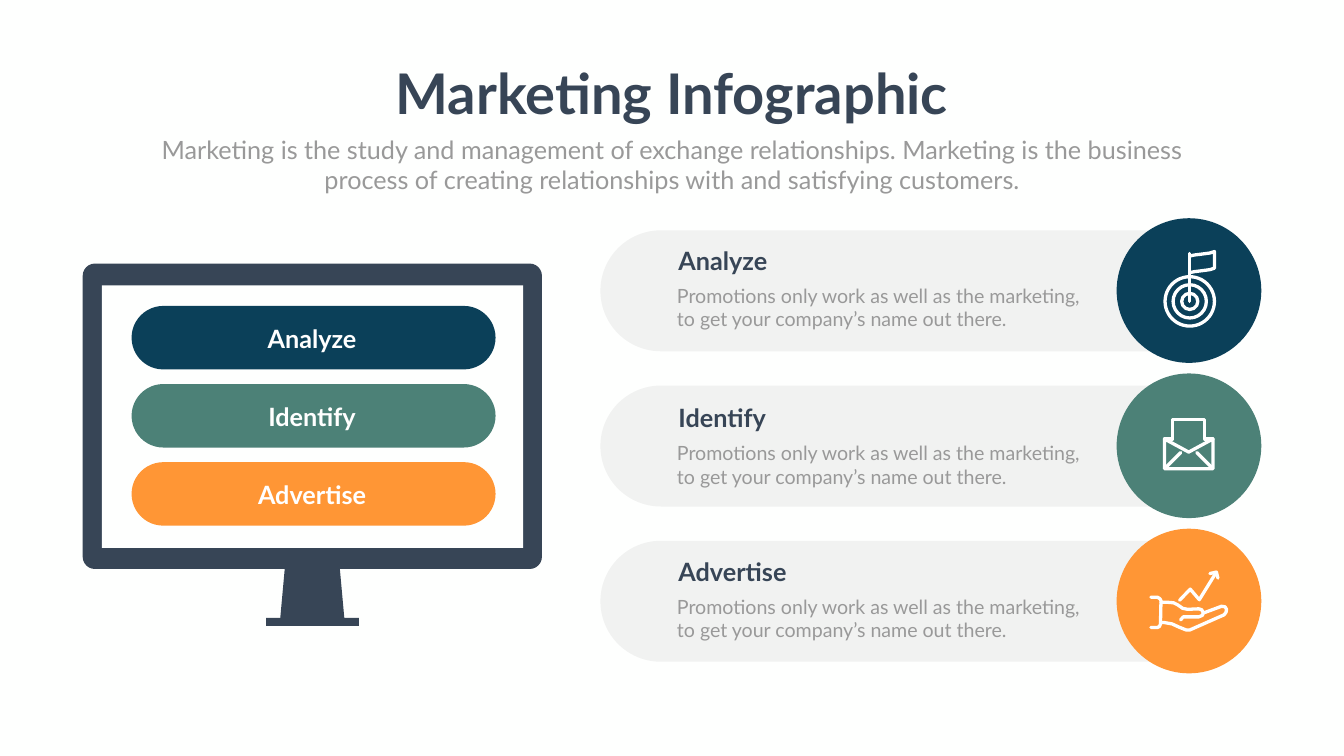
from lxml import etree
from pptx import Presentation
from pptx.dml.color import RGBColor
from pptx.enum.shapes import MSO_CONNECTOR, MSO_SHAPE
from pptx.enum.text import MSO_ANCHOR, MSO_AUTO_SIZE, PP_ALIGN
from pptx.oxml.ns import qn
from pptx.util import Inches, Pt

ROUND = MSO_SHAPE.ROUNDED_RECTANGLE
RECT = MSO_SHAPE.RECTANGLE
OVAL = MSO_SHAPE.OVAL
LINE = MSO_CONNECTOR.STRAIGHT
LEFT, MID = PP_ALIGN.LEFT, PP_ALIGN.CENTER
TOP = MSO_ANCHOR.TOP
GROW = MSO_AUTO_SIZE.SHAPE_TO_FIT_TEXT

COLS, ROWS = 26.66, 15
CELL = Inches(1)
FONT = "Lato"
STROKE = 4.7
COLORS = {
    "back": "FEFFFE", "dark": "374556", "gray": "999999", "bar": "808080",
    "white": "FFFFFF", "navy": "0B4059", "green": "4C8177", "orange": "FF9635",
}
TITLE = "Marketing Infographic"
INTRO = ("Marketing is the study and management of exchange relationships. Marketing is "
         "the business process of creating relationships with and satisfying customers.")
BODY = "Promotions only work as well as the marketing, to get your company’s name out there."
STEPS = [("Analyze", "navy", 4.82), ("Identify", "green", 7.94), ("Advertise", "orange", 10.99)]

STAND = [(5.66, 11.16), (6.73, 11.16), (6.83, 12.26), (7.12, 12.26),
         (7.12, 12.42), (5.28, 12.42), (5.28, 12.26), (5.56, 12.26)]
FLAG = [(0.02, -0.68), (0.11, -0.7), (0.27, -0.72), (0.42, -0.74), (0.51, -0.77),
        (0.51, -0.44), (0.42, -0.41), (0.27, -0.39), (0.11, -0.37), (0.02, -0.35)]
FOLD = [(-0.48, -0.13), (0, 0.13), (0.48, -0.13), (0.48, 0.46), (-0.48, 0.46)]
SHEET = [(-0.48, -0.13), (-0.32, -0.13), (-0.32, -0.52),
         (0.32, -0.52), (0.32, -0.13), (0.48, -0.13)]
CUFF = [(-0.75, -0.07), (-0.62, -0.07), (-0.57, -0.04), (-0.55, 0),
        (-0.56, 0.46), (-0.58, 0.51), (-0.62, 0.53), (-0.75, 0.53)]
THUMB = [(-0.55, 0.03), (-0.42, 0.03), (-0.3, 0.04), (-0.22, 0.08), (-0.12, 0.15),
         (-0.02, 0.17), (0.2, 0.16), (0.26, 0.18), (0.29, 0.24), (0.27, 0.29),
         (0.2, 0.32), (-0.11, 0.32), (-0.16, 0.38)]
PALM = [(0.3, 0.24), (0.65, 0.11), (0.72, 0.12), (0.75, 0.17), (0.74, 0.23),
        (0.7, 0.28), (0.02, 0.58), (-0.05, 0.58), (-0.2, 0.52), (-0.33, 0.46),
        (-0.5, 0.43), (-0.56, 0.43)]
TREND = [(-0.18, -0.01), (0.03, -0.23), (0.21, -0.02), (0.55, -0.57)]
TIP = [(0.42, -0.54), (0.55, -0.57), (0.58, -0.45)]


def cells(*nums):
    return [int(num * CELL) for num in nums]


def tint(name):
    return RGBColor.from_string(COLORS[name])


class Board:
    def __init__(self):
        self.deck = Presentation()
        self.deck.slide_width, self.deck.slide_height = cells(COLS, ROWS)
        self.slide = self.deck.slides.add_slide(self.deck.slide_layouts[5])
        self.pen = self.slide.shapes
        fill = self.slide.background.fill
        fill.solid()
        fill.fore_color.rgb = tint("back")

    def paint(self, item, color, alpha=None):
        item.shadow.inherit = False
        item.line.fill.background()
        item.fill.solid()
        item.fill.fore_color.rgb = tint(color)
        if alpha:
            node = item._element.spPr.find(".//" + qn("a:srgbClr"))
            etree.SubElement(node, qn("a:alpha")).set("val", str(alpha * 1000))

    def ink(self, item):
        item.line.color.rgb = tint("white")
        item.line.width = Pt(STROKE)
        props = item._element.spPr
        line = props.find(qn("a:ln"))
        line.set("cap", "rnd")
        etree.SubElement(line, qn("a:round"))
        etree.SubElement(props, qn("a:effectLst"))

    def block(self, kind, box, color, curve=None, alpha=None):
        item = self.pen.add_shape(kind, *cells(*box))
        if curve is not None:
            item.adjustments[0] = curve
        self.paint(item, color, alpha)

    def trace(self, dots, mid=(0, 0), close=False):
        spots = [cells(mid[0] + x, mid[1] + y) for x, y in dots]
        maker = self.pen.build_freeform(*spots[0])
        maker.add_line_segments(spots[1:], close=close)
        return maker.convert_to_shape()

    def solid(self, dots, color):
        self.paint(self.trace(dots, close=True), color)

    def stroke(self, dots, mid, close=False):
        item = self.trace(dots, mid, close)
        item.fill.background()
        self.ink(item)

    def ring(self, x, y, size):
        item = self.pen.add_shape(OVAL, *cells(x - size, y - size, 2 * size, 2 * size))
        item.fill.background()
        self.ink(item)

    def line(self, start, end, mid):
        ends = [mid[0] + start[0], mid[1] + start[1], mid[0] + end[0], mid[1] + end[1]]
        self.ink(self.pen.add_connector(LINE, *cells(*ends)))

    def label(self, item, words, size, color, bold, align, wrap=True):
        frame = item.text_frame
        frame.text = words
        frame.word_wrap = wrap
        frame.auto_size = GROW
        frame.vertical_anchor = TOP
        para = frame.paragraphs[0]
        para.alignment = align
        font = para.font
        font.name, font.size, font.bold = FONT, Pt(size), bold
        font.color.rgb = tint(color)

    def text(self, box, words, size, color, bold=False, align=LEFT):
        self.label(self.pen.add_textbox(*cells(*box)), words, size, color, bold, align)

    def title(self, box, words):
        item = self.pen.title
        item.left, item.top, item.width, item.height = cells(*box)
        self.label(item, words, 80, "dark", True, MID, False)

    def target(self, x, y):
        for size in (0.49, 0.33, 0.16):
            self.ring(x + 0.02, y + 0.22, size)
        self.line((0.02, -0.73), (0.02, 0.22), (x, y))
        self.stroke(FLAG, (x, y))

    def letter(self, x, y):
        self.stroke(SHEET, (x, y))
        self.stroke(FOLD, (x, y), True)
        for side in (-1, 1):
            self.line((side * 0.16, 0.14), (side * 0.46, 0.44), (x, y))

    def hand(self, x, y):
        for dots in (CUFF, THUMB, PALM, TREND, TIP):
            self.stroke(dots, (x, y))


def main():
    board = Board()
    board.title((7.61, 1.12, 11.44, 1.45), TITLE)
    board.text((2.92, 2.61, 20.82, 1.31), INTRO, 36, "gray", align=MID)

    board.solid(STAND, "dark")
    board.block(ROUND, (1.64, 5.23, 9.11, 6.06), "dark", 0.04)
    board.block(RECT, (2.02, 5.66, 8.36, 5.21), "back")

    icons = [board.target, board.letter, board.hand]
    for i, ((name, color, row), icon) in enumerate(zip(STEPS, icons)):
        board.block(ROUND, (2.61, 6.07 + 1.55 * i, 7.22, 1.26), color, 0.5)
        board.text((4.65, 6.36 + 1.55 * i, 3.08, 0.71), name, 36, "white", True, MID)

        drop = 3.08 * i
        board.block(ROUND, (11.91, 4.57 + drop, 13.11, 2.4), "bar", 0.5, 10)
        board.block(OVAL, (22.15, 4.33 + drop, 2.87, 2.87), color)
        icon(23.58, 5.76 + drop)
        board.text((13.36, row, 2.61, 0.71), name, 36, "dark", True)
        board.text((13.33, row + 0.76, 8.38, 1.04), BODY, 28, "gray")

    board.deck.save("out.pptx")


if __name__ == "__main__":
    main()
